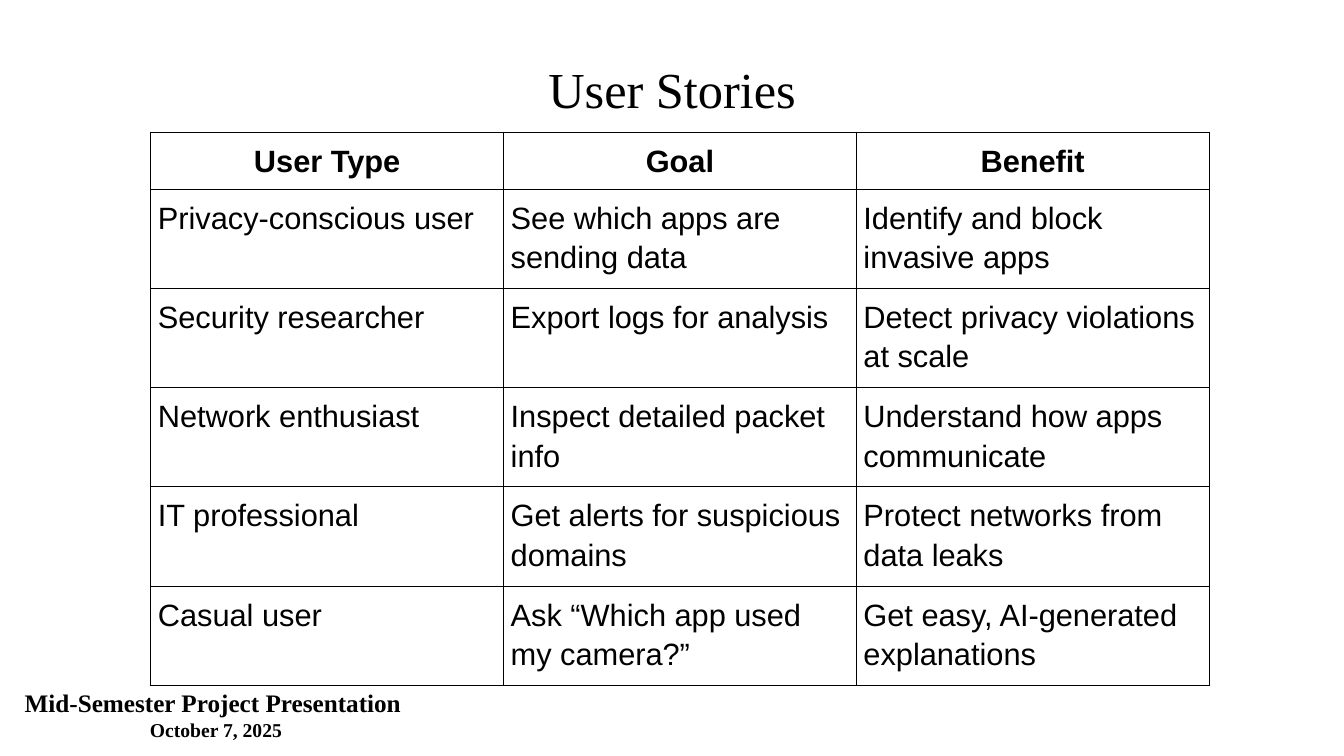
"""Build the User Stories slide: a title, a table of user types and a footer."""
from lxml import etree
from pptx import Presentation
from pptx.dml.color import RGBColor
from pptx.enum.text import MSO_AUTO_SIZE, PP_ALIGN
from pptx.oxml.ns import qn
from pptx.util import Cm, Pt

CENTER, LEFT = PP_ALIGN.CENTER, PP_ALIGN.LEFT
GROW = MSO_AUTO_SIZE.SHAPE_TO_FIT_TEXT
BLACK = "000000"
SERIF, SANS = "Times New Roman", "Arial"

TITLE = [("User Stories", 36, False)]
FOOTER = [
    ("Mid-Semester Project Presentation ", 18, True),
    ("October 7, 2025", 14, True),
]
STORIES = [
    ("User Type", "Goal", "Benefit"),
    ("Privacy-conscious user", "See which apps are sending data", "Identify and block invasive apps"),
    ("Security researcher", "Export logs for analysis", "Detect privacy violations at scale"),
    ("Network enthusiast", "Inspect detailed packet info", "Understand how apps communicate"),
    ("IT professional", "Get alerts for suspicious domains", "Protect networks from data leaks"),
    ("Casual user", "Ask “Which app used my camera?”", "Get easy, AI-generated explanations"),
]
COLUMN_WIDTH, ROW_HEIGHT, CELL_MARGIN = Cm(8.89), Cm(1.32), Cm(0.18)


def color(hex_code):
    return RGBColor.from_string(hex_code)


def add_run(paragraph, text, size, font_name, bold, align):
    paragraph.alignment = align
    run = paragraph.add_run()
    run.text = text
    run.font.size = Pt(size)
    run.font.name = font_name
    run.font.bold = bold
    run.font.color.rgb = color(BLACK)


def add_text(slide, lines, left, top, width, height):
    frame = slide.shapes.add_textbox(left, top, width, height).text_frame
    frame.word_wrap = True
    for index, (text, size, bold) in enumerate(lines):
        paragraph = frame.add_paragraph() if index else frame.paragraphs[0]
        add_run(paragraph, text, size, SERIF, bold, CENTER)
    return frame


def add_borders(cell):
    properties = cell._tc.get_or_add_tcPr()
    for position, side in enumerate(("lnL", "lnR", "lnT", "lnB")):
        line = etree.Element(qn(f"a:{side}"), w=str(Pt(0.5)))
        fill = etree.SubElement(line, qn("a:solidFill"))
        etree.SubElement(fill, qn("a:srgbClr"), val=BLACK)
        properties.insert(position, line)


def fill_cell(cell, text, is_header):
    cell.fill.background()
    add_borders(cell)
    cell.margin_left = cell.margin_right = CELL_MARGIN
    cell.margin_top = cell.margin_bottom = CELL_MARGIN
    paragraph = cell.text_frame.paragraphs[0]
    paragraph.line_spacing = 1.15
    paragraph.space_before = paragraph.space_after = Pt(12)
    add_run(paragraph, text, 22, SANS, is_header, CENTER if is_header else LEFT)


def add_stories(slide, left, top):
    row_count, column_count = len(STORIES), len(STORIES[0])
    table = slide.shapes.add_table(
        row_count, column_count, left, top,
        COLUMN_WIDTH * column_count, ROW_HEIGHT * row_count,
    ).table
    table.first_row = table.horz_banding = False
    for row_index, story in enumerate(STORIES):
        for column_index, text in enumerate(story):
            fill_cell(table.cell(row_index, column_index), text, row_index == 0)


def main():
    deck = Presentation()
    deck.slide_width, deck.slide_height = Cm(33.87), Cm(19.05)
    slide = deck.slides.add_slide(deck.slide_layouts[6])
    add_text(slide, FOOTER, Cm(-0.18), Cm(17.2), Cm(11.25), Cm(2.16))
    title = add_text(slide, TITLE, Cm(5.74), Cm(1.35), Cm(22.4), Cm(1.8))
    title.auto_size = GROW
    add_stories(slide, Cm(3.8), Cm(3.33))
    deck.save("out.pptx")


if __name__ == "__main__":
    main()
